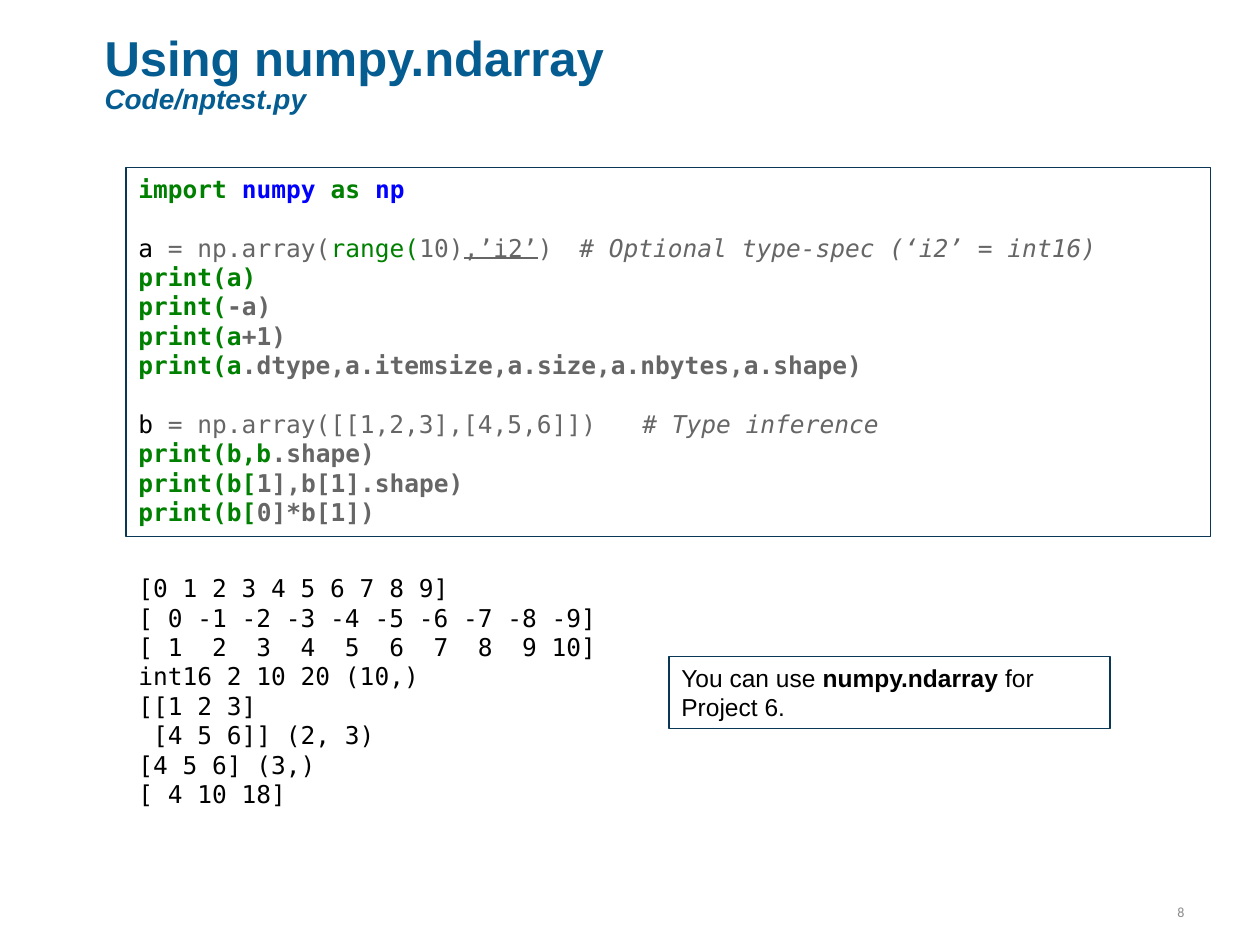
"""Build a slide on numpy arrays with code, its output and a note."""
import dataclasses

import pptx
import pptx.dml.color
import pptx.enum.shapes
import pptx.enum.text
import pptx.util

Inches = pptx.util.Inches
Pt = pptx.util.Pt
Align = pptx.enum.text.PP_ALIGN
Anchor = pptx.enum.text.MSO_ANCHOR


@dataclasses.dataclass(frozen=True)
class Theme:
    """Colours, fonts and type sizes."""
    blue: str = "055C91"
    frame: str = "0B3757"
    green: str = "008000"
    name: str = "0000FF"
    gray: str = "666666"
    pale: str = "8C8C8C"
    black: str = "000000"
    sans: str = "Arial"
    mono: str = "DejaVu Sans Mono"
    small: str = "Calibri"
    head: int = 28
    sub: int = 16
    body: int = 14
    foot: int = 8
    line: float = 0.75
    gap: float = 16.8


class Deck:
    """Holds the theme and the slide being built."""

    def __init__(self, theme):
        self.theme = theme
        self.file = pptx.Presentation()
        self.file.slide_width, self.file.slide_height = Inches(10), Inches(7.5)
        self.slide = self.file.slides.add_slide(self.file.slide_layouts[5])

    def style(self, font, face=None, size=None, tint=None, marks=""):
        """Format a font; marks holds b, i and u flags."""
        if face:
            font.name = face
        if size:
            font.size = Pt(size)
        if tint:
            font.color.rgb = pptx.dml.color.RGBColor.from_string(tint)
        if "b" in marks:
            font.bold = True
        if "i" in marks:
            font.italic = True
        if "u" in marks:
            font.underline = True

    def title(self, head, sub, box):
        """Fill the title with a heading and a smaller second line."""
        theme, shape = self.theme, self.slide.shapes.title
        shape.left, shape.top, shape.width, shape.height = map(Inches, box)
        frame = shape.text_frame
        frame.margin_left = frame.margin_right = 0
        frame.margin_top = frame.margin_bottom = 0
        frame.vertical_anchor = Anchor.MIDDLE
        frame.auto_size = pptx.enum.text.MSO_AUTO_SIZE.NONE
        para = frame.paragraphs[0]
        para.alignment, para.line_spacing = Align.LEFT, 0.85
        self.style(para.font, theme.sans, theme.head, theme.blue, "b")
        para.add_run().text = head
        para.add_line_break()
        run = para.add_run()
        run.text = sub
        self.style(run.font, size=theme.sub, marks="i")

    def fill(self, frame, lines, face, size, tint, align=Align.LEFT):
        """Set lines of (text, tint, marks) runs; None leaves a gap."""
        para, gap = None, 0
        for line in lines:
            if line is None:
                gap = self.theme.gap
                continue
            para = frame.add_paragraph() if para else frame.paragraphs[0]
            para.alignment = align
            self.style(para.font, face, size, tint)
            if gap:
                para.space_before, gap = Pt(gap), 0
            for text, shade, marks in line:
                run = para.add_run()
                run.text = text
                self.style(run.font, tint=shade, marks=marks)

    def panel(self, box, lines, face):
        """Add a framed box of text."""
        theme = self.theme
        shape = self.slide.shapes.add_shape(
            pptx.enum.shapes.MSO_SHAPE.RECTANGLE, *map(Inches, box))
        shape.shadow.inherit = False
        shape.fill.background()
        shape.line.width = Pt(theme.line)
        shape.line.color.rgb = pptx.dml.color.RGBColor.from_string(theme.frame)
        shape.text_frame.word_wrap = True
        shape.text_frame.vertical_anchor = Anchor.TOP
        self.fill(shape.text_frame, lines, face, theme.body, theme.black)

    def text(self, box, lines, face, size, tint, align=Align.LEFT):
        """Add a plain text box."""
        frame = self.slide.shapes.add_textbox(*map(Inches, box)).text_frame
        frame.word_wrap = True
        self.fill(frame, [[(line, None, "")] for line in lines],
                  face, size, tint, align)


def main():
    """Build and save the slide."""
    theme = Theme()
    deck = Deck(theme)
    green, gray, name = theme.green, theme.gray, theme.name

    def call(start, rest=""):
        """Give the runs of a bold print line."""
        runs = [("print(" + start, green, "b")]
        return runs + [(rest, gray, "b")] if rest else runs

    code = [
        [("import ", green, "b"), ("numpy ", name, "b"),
         ("as ", green, "b"), ("np", name, "b")],
        None,
        [("a ", None, ""), ("= np.array(", gray, ""), ("range(", green, ""),
         ("10)", gray, ""), (",’i2’", gray, "u"), (")\t", gray, ""),
         ("# Optional type-spec (‘i2’ = int16)", gray, "i")],
        call("a)"),
        call("", "-a)"),
        call("a", "+1)"),
        call("a", ".dtype,a.itemsize,a.size,a.nbytes,a.shape)"),
        None,
        [("b ", None, ""), ("= np.array([[1,2,3],[4,5,6]])\t", gray, ""),
         ("# Type inference", gray, "i")],
        call("b,b", ".shape)"),
        call("b[", "1],b[1].shape)"),
        call("b[", "0]*b[1])"),
    ]
    result = [
        "[0 1 2 3 4 5 6 7 8 9]",
        "[ 0 -1 -2 -3 -4 -5 -6 -7 -8 -9]",
        "[ 1  2  3  4  5  6  7  8  9 10]",
        "int16 2 10 20 (10,)",
        "[[1 2 3]",
        " [4 5 6]] (2, 3)",
        "[4 5 6] (3,)",
        "[ 4 10 18]",
    ]
    note = [[("You can use ", None, ""), ("numpy.ndarray ", None, "b"),
             ("for Project 6.", None, "")]]

    deck.title("Using numpy.ndarray", "Code/nptest.py", (0.83, 0.29, 8.78, 0.63))
    deck.panel((1, 1.33, 8.61, 2.93), code, theme.mono)
    deck.text((1, 4.5, 4.5, 1.99), result, theme.mono, theme.body, theme.black)
    deck.panel((5.31, 5.21, 3.5, 0.57), note, theme.sans)
    deck.text((9.16, 7.12, 0.34, 0.24), ["8"], theme.small, theme.foot,
              theme.pale, Align.RIGHT)
    deck.file.save("out.pptx")


if __name__ == "__main__":
    main()
